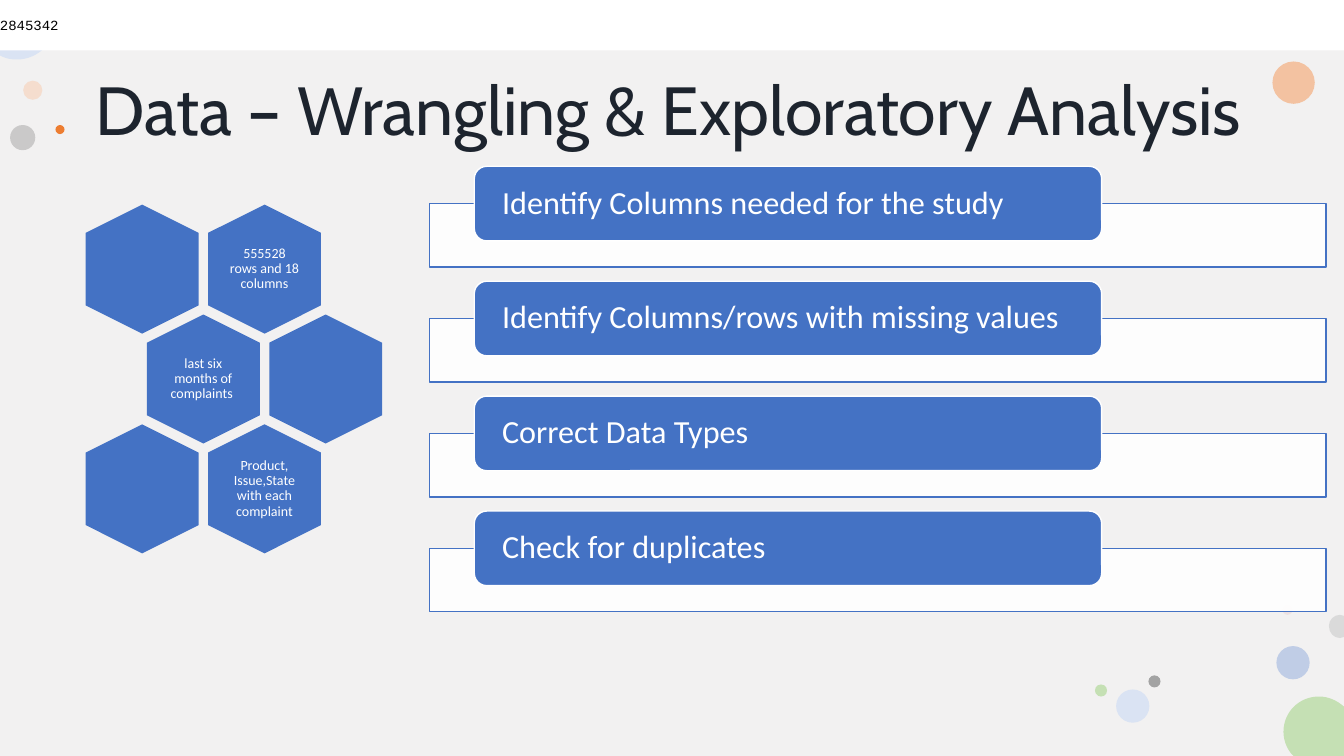
from lxml.etree import SubElement
from pptx import Presentation
from pptx.dml.color import RGBColor
from pptx.enum.shapes import MSO_SHAPE as Shape
from pptx.enum.text import MSO_ANCHOR as Anchor, PP_ALIGN as Align
from pptx.oxml.ns import qn
from pptx.util import Inches, Pt

WIDTH, HEIGHT = 13.33, 7.5
BLUE, WHITE, INK = "4472C4", "FFFFFF", "1D242E"

# left, top, diameter, colour, opacity in percent
BUBBLES = [
    (0.23, 0.8, 0.19, "F8CBAD", 50),
    (12.66, 6.41, 0.33, "8FAADC", 50),
    (0.1, 1.24, 0.25, "A3A3A3", 50),
    (12.62, 0.61, 0.42, "F4B183", 72),
    (12.72, 6, 0.1, "E3BEBE", 28),
    (11.39, 6.7, 0.12, "A3A3A3", 100),
    (11.07, 6.84, 0.33, "DAE3F3", 100),
    (10.86, 6.79, 0.12, "C5E0B4", 100),
    (0.55, 1.24, 0.09, "ED7D31", 100),
]
# colour and outline: two numbers make a line, six make a Bézier curve
EDGE_BUBBLES = [
    ("C5E0B4", [(13.08, 6.91), (13.18, 6.91, 13.26, 6.95, 13.33, 7.01),
                (13.33, 7.5), (12.83, 7.5), (12.81, 7.48),
                (12.76, 7.42, 12.73, 7.34, 12.73, 7.26),
                (12.73, 7.06, 12.89, 6.91, 13.08, 6.91)]),
    ("DAE3F3", [(0, 0), (0.5, 0), (0.53, 0.05),
                (0.55, 0.09, 0.56, 0.14, 0.56, 0.2),
                (0.56, 0.41, 0.38, 0.59, 0.17, 0.59),
                (0.11, 0.59, 0.06, 0.58, 0.02, 0.56), (0, 0.55)]),
    ("DADADA", [(13.29, 6.1), (13.33, 6.11), (13.33, 6.32), (13.29, 6.33),
                (13.23, 6.33, 13.18, 6.28, 13.18, 6.21),
                (13.18, 6.15, 13.23, 6.1, 13.29, 6.1)]),
]
STEPS = [
    "Identify Columns needed for the study",
    "Identify Columns/rows with missing values",
    "Correct Data Types",
    "Check for duplicates",
]
# each row runs left to right; odd rows are shifted by half a cell
FACTS = [
    ("", "555528 rows and 18 columns"),
    ("last six months of complaints ", ""),
    ("", "Product, Issue,State with each complaint"),
]


def color(value):
    return RGBColor.from_string(value)


def paint(shape, fill, opacity=100, line=None):
    shape.shadow.inherit = False
    shape.fill.solid()
    shape.fill.fore_color.rgb = color(fill)
    if opacity < 100:
        tint = shape.fill._xPr.find(qn("a:solidFill"))[0]
        SubElement(tint, qn("a:alpha"), val=str(opacity * 1000))
    if line:
        shape.line.color.rgb = color(line)
        shape.line.width = Pt(1)
    else:
        shape.line.fill.background()


def add_shape(slide, kind, box, fill, **look):
    shape = slide.shapes.add_shape(kind, *map(Inches, box))
    paint(shape, fill, **look)
    return shape


def write(shape, text, size, font="Calibri", ink=WHITE, align=Align.LEFT,
          spacing=0.9, insets=(0, 0), wrap=True):
    """Fill a shape with one formatted paragraph; insets are (side, top and bottom)."""
    frame = shape.text_frame
    frame.word_wrap = wrap
    frame.vertical_anchor = Anchor.MIDDLE
    frame.margin_left = frame.margin_right = Inches(insets[0])
    frame.margin_top = frame.margin_bottom = Inches(insets[1])
    para = frame.paragraphs[0]
    para.alignment = align
    para.line_spacing = spacing
    span = para.add_run()
    span.text = text
    span.font.size = Pt(size)
    span.font.name = font
    span.font.color.rgb = color(ink)


def add_caption(slide, box, text, size, **form):
    write(slide.shapes.add_textbox(*map(Inches, box)), text, size, **form)


def add_edge_bubble(slide, fill, outline):
    """Draw a circle cut off at the slide edges."""
    ends = [tuple(map(Inches, step[-2:])) for step in outline]
    builder = slide.shapes.build_freeform(*ends[0])
    builder.add_line_segments(ends[1:], close=True)
    bubble = builder.convert_to_shape()
    paint(bubble, fill)
    segments = list(bubble._element.iter(qn("a:lnTo")))
    for segment, step in zip(segments, outline[1:]):
        if len(step) == 6:
            segment.tag = qn("a:cubicBezTo")
            segment.remove(segment[0])
            for x, y in zip(step[::2], step[1::2]):
                SubElement(segment, qn("a:pt"), x=str(Inches(x) - bubble.left),
                           y=str(Inches(y) - bubble.top))


def add_background(slide):
    add_shape(slide, Shape.RECTANGLE, (0, 0, WIDTH, HEIGHT), "F2F1F1")
    for left, top, size, fill, opacity in BUBBLES:
        add_shape(slide, Shape.OVAL, (left, top, size, size), fill, opacity=opacity)
    for fill, outline in EDGE_BUBBLES:
        add_edge_bubble(slide, fill, outline)


def add_title(slide, box, text):
    title = slide.shapes.title
    slide.shapes._spTree.append(title._element)  # bring in front of the background
    title.left, title.top, title.width, title.height = map(Inches, box)
    write(title, text, 48.6, font="Cabin", ink=INK, insets=(0.1, 0.05))


def add_number_band(slide, box, text):
    band = add_shape(slide, Shape.RECTANGLE, box, WHITE)
    write(band, text, 10, font="Courier New", ink="000000", spacing=1, wrap=False)


def add_steps(slide, box, steps):
    left, top, width, height = box
    label_height, bar_height, bar_drop, pad = 0.74, 0.63, 0.37, 0.035
    label_left, label_width = left + width * 0.05, width * 0.7
    pitch = (height - bar_drop - bar_height) / (len(steps) - 1)
    for i, step in enumerate(steps):
        y = top + i * pitch
        add_shape(slide, Shape.RECTANGLE, (left, y + bar_drop, width, bar_height),
                  WHITE, opacity=90, line=BLUE)
        add_shape(slide, Shape.ROUNDED_RECTANGLE,
                  (label_left, y, label_width, label_height), BLUE, line=WHITE)
        text_box = (label_left + pad, y + pad,
                    label_width - 2 * pad, label_height - 2 * pad)
        add_caption(slide, text_box, step, 23, insets=(0.24, 0))


def add_honeycomb(slide, box, rows):
    left, top, width, height = box
    long, short = 1.28, 1.12
    column_pitch = (width - short) / 1.5
    row_pitch = (height - long) / (len(rows) - 1)
    for i, row in enumerate(rows):
        for j, fact in enumerate(row):
            x = left + short / 2 + (j + i % 2 / 2) * column_pitch
            y = top + long / 2 + i * row_pitch
            cell = add_shape(slide, Shape.HEXAGON,
                             (x - long / 2, y - short / 2, long, short), BLUE)
            cell.adjustments[0] = 0.25
            cell.rotation = 90
            if fact:
                add_caption(slide, (x - 0.385, y - 0.44, 0.77, 0.88), fact, 10,
                            align=Align.CENTER, insets=(0.04, 0.04))


def main():
    deck = Presentation()
    deck.slide_width, deck.slide_height = Inches(WIDTH), Inches(HEIGHT)
    slide = deck.slides.add_slide(deck.slide_layouts[5])
    add_background(slide)
    add_title(slide, (0.85, 0.4, 11.66, 1.45), "Data – Wrangling & Exploratory Analysis")
    add_number_band(slide, (0, 0, WIDTH, 0.5), "2845342")
    add_steps(slide, (4.26, 1.65, 8.89, 4.42), STEPS)
    add_honeycomb(slide, (0.85, 2.03, 2.94, 3.46), FACTS)
    deck.save("out.pptx")


if __name__ == "__main__":
    main()
